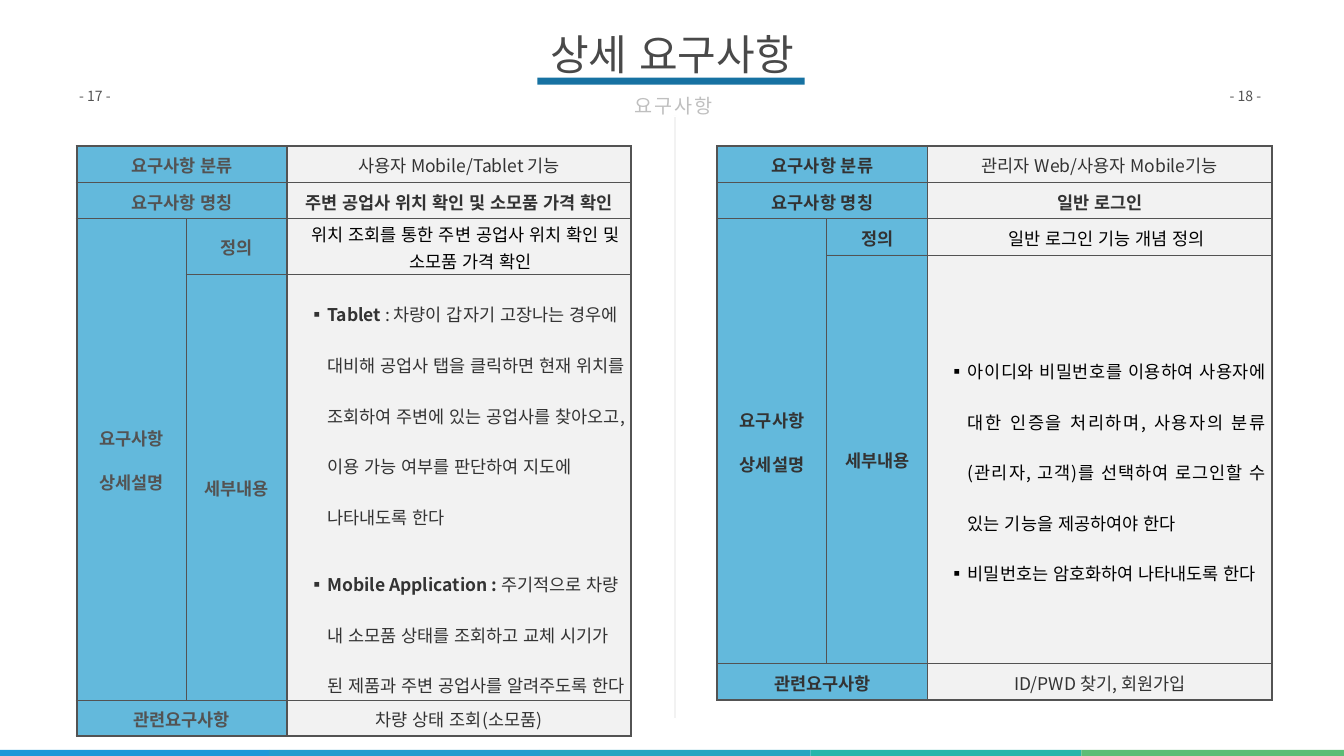
from lxml.etree import SubElement
from pptx import Presentation
from pptx.dml.color import RGBColor
from pptx.enum.lang import MSO_LANGUAGE_ID
from pptx.enum.shapes import MSO_SHAPE
from pptx.enum.text import MSO_ANCHOR, MSO_AUTO_SIZE, PP_ALIGN
from pptx.oxml.ns import qn
from pptx.util import Inches, Pt

FONT = "Noto Sans CJK KR"
GRAY = "535353"
DARK = "333333"
BLACK = "000000"
BLUE = "229CCE"
PALE = "F2F2F2"
COLS = [2.17, 2, 6.83]
TALL = [0.72, 0.72, 1.1, 8.45, 0.72]
ROWS = [0.72, 0.72, 0.72, 8.11, 0.72]
WIDE = [3, 1, 2.25, 3]
HIGH = [3, 1, 1, 1, 1, 3]
MID, LEFT, EVEN = PP_ALIGN.CENTER, PP_ALIGN.LEFT, PP_ALIGN.JUSTIFY

LABELS = [
    (0, 0, ["요구사항 분류"]),
    (1, 0, ["요구사항 명칭"]),
    (2, 0, ["요구사항", "상세설명"]),
    (2, 1, ["정의"]),
    (3, 1, ["세부내용"]),
    (4, 0, ["관련요구사항"]),
]
USER = [
    "사용자 Mobile/Tablet 기능",
    "주변 공업사 위치 확인 및 소모품 가격 확인",
    "위치 조회를 통한 주변 공업사 위치 확인 및 소모품 가격 확인",
    [("Tablet", " : 차량이 갑자기 고장나는 경우에 대비해 공업사 탭을 클릭하면 "
      "현재 위치를 조회하여 주변에 있는 공업사를 찾아오고, 이용 가능 여부를 "
      "판단하여 지도에 나타내도록 한다"),
     ("Mobile Application : ", "주기적으로 차량 내 소모품 상태를 조회하고 "
      "교체 시기가 된 제품과 주변 공업사를 알려주도록 한다")],
    "차량 상태 조회(소모품)",
]
ADMIN = [
    "관리자 Web/사용자 Mobile기능",
    "일반 로그인",
    "일반 로그인 기능 개념 정의",
    [("", "아이디와 비밀번호를 이용하여 사용자에 대한 인증을 처리하며, 사용자의 "
      "분류(관리자, 고객)를 선택하여 로그인할 수 있는 기능을 제공하여야 한다"),
     ("", "비밀번호는 암호화하여 나타내도록 한다")],
    "ID/PWD 찾기, 회원가입",
]


def paint(color, value):
    color.rgb = RGBColor.from_string(value)


def style(font, size, color, bold=False):
    font.name = FONT
    font.size = Pt(size)
    font.bold = bold
    font.language_id = MSO_LANGUAGE_ID.KOREAN
    paint(font.color, color)
    SubElement(font._rPr, qn("a:ea"), typeface=FONT)


def indent(para, left, first, mark=None):
    props = para._p.get_or_add_pPr()
    props.set("marL", str(Inches(left)))
    props.set("indent", str(Inches(first)))
    if mark:
        SubElement(props, qn("a:buFont"), typeface=FONT)
        SubElement(props, qn("a:buChar"), char=mark)


def space(para, line, gap, first):
    para.line_spacing = line
    if gap:
        para.space_after = Pt(gap)
        if not first:
            para.space_before = Pt(gap)


def add_bar(slide, left, top, width, height, color):
    bar = slide.shapes.add_shape(
        MSO_SHAPE.RECTANGLE, Inches(left), Inches(top), Inches(width), Inches(height))
    bar.shadow.inherit = False
    bar.fill.solid()
    paint(bar.fill.fore_color, color)
    bar.line.fill.background()
    return bar


def set_text(shape, box, text, size, color, align=MID, pad=(0.12, 0.12), wrap=True):
    shape.left, shape.top, shape.width, shape.height = [Inches(n) for n in box]
    frame = shape.text_frame
    frame.word_wrap = wrap
    frame.auto_size = MSO_AUTO_SIZE.SHAPE_TO_FIT_TEXT
    frame.margin_left = frame.margin_right = Inches(pad[0])
    frame.margin_top = frame.margin_bottom = Inches(pad[1])
    para = frame.paragraphs[0]
    para.text = text
    para.alignment = align
    style(para.font, size, color)
    return frame


def add_page(slide, left, text):
    box = slide.shapes.add_textbox(0, 0, 0, 0)
    set_text(box, (left, 1.68, 0.94, 0.44), text, 20, GRAY, LEFT, (0.05, 0.05))


def add_edge(cell, side, width):
    line = SubElement(cell._tc.get_or_add_tcPr(), qn("a:ln" + side), w=str(Pt(width)))
    SubElement(SubElement(line, qn("a:solidFill")), qn("a:srgbClr"), val=GRAY)


def dress(cell, row, col):
    cell.margin_left = cell.margin_right = Inches(0.01)
    cell.margin_top = cell.margin_bottom = Inches(0.01)
    cell.vertical_anchor = MSO_ANCHOR.MIDDLE
    add_edge(cell, "L", WIDE[col])
    add_edge(cell, "R", WIDE[col + cell.span_width if cell.is_merge_origin else col + 1])
    add_edge(cell, "T", HIGH[row])
    add_edge(cell, "B", HIGH[row + cell.span_height if cell.is_merge_origin else row + 1])
    cell.fill.solid()
    paint(cell.fill.fore_color, PALE if col == 2 else BLUE)
    if col < 2:
        tint = cell._tc.tcPr.find(qn("a:solidFill")).find(qn("a:srgbClr"))
        SubElement(tint, qn("a:alpha"), val="70000")


def fill_cell(cell, lines, color, bold=False, hang=None):
    frame = cell.text_frame
    for i, line in enumerate(lines):
        para = frame.add_paragraph() if i else frame.paragraphs[0]
        para.text = line
        para.alignment = MID
        space(para, 1.07, 12, i == 0)
        if hang:
            indent(para, *hang)
        style(para.font, 25, color, bold)


def fill_list(cell, items, color, align, gap):
    cell.margin_right = Inches(0.12)
    frame = cell.text_frame
    for i, (head, body) in enumerate(items):
        para = frame.add_paragraph() if i else frame.paragraphs[0]
        para.alignment = align
        space(para, 2.0, gap, i == 0)
        indent(para, 0.79, -0.38, "▪")
        style(para.font, 25, color)
        if head:
            run = para.add_run()
            run.text = head
            run.font.bold = True
        para.add_run().text = body


def add_grid(slide, left, rows, texts, ink, color, align, gap):
    table = slide.shapes.add_table(
        len(rows), len(COLS), Inches(left), Inches(2.9),
        Inches(sum(COLS)), Inches(sum(rows))).table
    table.first_row = table.horz_banding = False
    for col, width in zip(table.columns, COLS):
        col.width = Inches(width)
    for row, height in zip(table.rows, rows):
        row.height = Inches(height)
    for r in (0, 1, 4):
        table.cell(r, 0).merge(table.cell(r, 1))
    table.cell(2, 0).merge(table.cell(3, 0))
    for r in range(len(rows)):
        for c in range(len(COLS)):
            dress(table.cell(r, c), r, c)
    for r, c, lines in LABELS:
        fill_cell(table.cell(r, c), lines, ink, True)
    kind, name, sense, items, link = texts
    fill_cell(table.cell(0, 2), [kind], DARK)
    fill_cell(table.cell(1, 2), [name], DARK, True, (0.19, -0.19))
    fill_cell(table.cell(2, 2), [sense], BLACK, False, (0.47, -0.21))
    fill_list(table.cell(3, 2), items, color, align, gap)
    fill_cell(table.cell(4, 2), [link], DARK, False, (0.19, -0.19))


def main():
    deck = Presentation()
    deck.slide_width, deck.slide_height = Inches(26.66), Inches(15)
    slide = deck.slides.add_slide(deck.slide_layouts[0])
    for i, color in enumerate(["1F98D8", BLUE, "27A5C1", "24B6AB", "5BBD76"]):
        add_bar(slide, -0.03 + 5.37 * i, 14.88, 5.37, 0.2, color)
    add_grid(slide, 1.52, TALL, USER, GRAY, DARK, LEFT, 12)
    rule = add_bar(slide, 13.36, 2.3, 0.05, 11.96, PALE)
    paint(rule.line.color, "FFFFFF")
    rule.line.width = Pt(1)
    add_grid(slide, 14.23, ROWS, ADMIN, DARK, BLACK, EVEN, 0)
    add_page(slide, 1.52, "- 17 -")
    add_page(slide, 24.34, "- 18 -")
    title, sub = slide.placeholders
    frame = set_text(title, (10.53, 0.44, 5.6, 1.24), "상세 요구사항", 60, "494949")
    frame.vertical_anchor = MSO_ANCHOR.MIDDLE
    add_bar(slide, 10.66, 1.54, 5.3, 0.14, "1772A2")
    frame = set_text(sub, (12.33, 1.65, 2.05, 0.78), "요구사항", 28, "BFBFBF",
                     pad=(0.24, 0.12), wrap=False)
    para = frame.paragraphs[0]
    para.space_before = Pt(0)
    para.line_spacing = 1.2
    para.runs[0]._r.get_or_add_rPr().set("spc", "300")
    deck.save("out.pptx")


if __name__ == "__main__":
    main()
